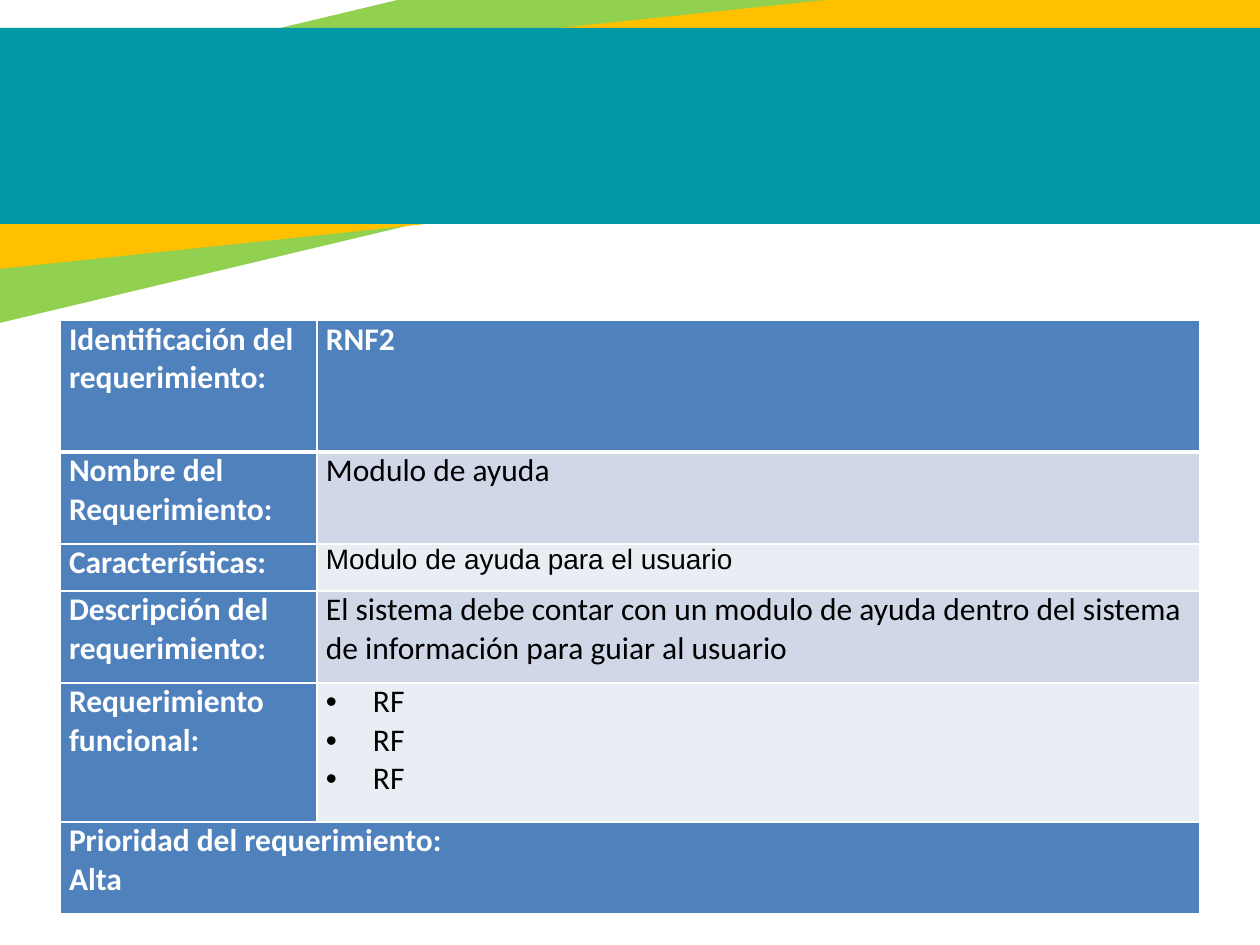
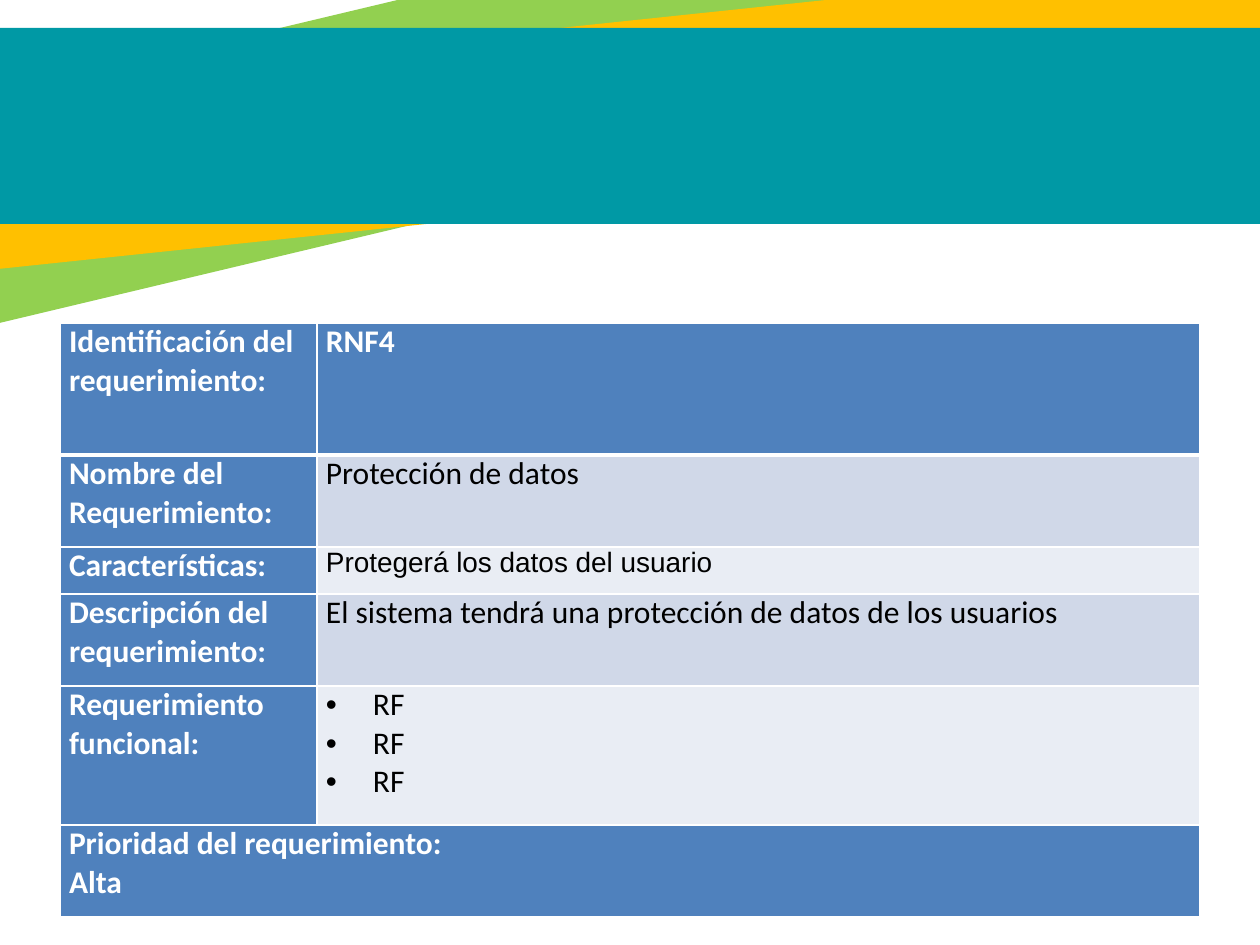
"""Build the two requirement sheets of non-functional requirements."""
from dataclasses import dataclass
from typing import NamedTuple

from lxml.etree import SubElement
from pptx import Presentation
from pptx.dml.color import RGBColor
from pptx.enum.shapes import MSO_SHAPE as Preset
from pptx.enum.text import MSO_ANCHOR as Anchor, PP_ALIGN as Align
from pptx.oxml.ns import qn
from pptx.util import Emu, Pt

EMU_PER_PX = 914400 / 126
GREEN = RGBColor(0x92, 0xD0, 0x50)
AMBER = RGBColor(0xFF, 0xC0, 0x00)
TEAL = RGBColor(0x00, 0x99, 0xA5)
BLUE = RGBColor(0x4F, 0x81, 0xBD)
DARK_ROW = RGBColor(0xD0, 0xD8, 0xE8)
LIGHT_ROW = RGBColor(0xE9, 0xED, 0xF4)
WHITE = RGBColor(0xFF, 0xFF, 0xFF)
BLACK = RGBColor(0x00, 0x00, 0x00)

LABEL = {"name": "Calibri", "size": Pt(18), "bold": True}
VALUE = {**LABEL, "bold": False}
FEATURE = {"name": "Arial", "size": Pt(16), "bold": False}
RULE_PT, HEADER_RULE_PT = 1, 3
COLUMN_WIDTHS = (257, 883)
ROW_HEIGHTS = (132, 92, 47, 92, 139, 92)
BULLET_INDENT = 47
LABELS = (
    "Identificación del requerimiento:",
    "Nombre del Requerimiento:",
    "Características:",
    "Descripción del requerimiento:",
    "Requerimiento funcional:",
)


class Band(NamedTuple):
    left: int
    top: int
    width: int
    height: int
    angle: float
    color: RGBColor


class CellStyle(NamedTuple):
    font: dict
    ink: RGBColor
    fill: RGBColor
    align: Align = Align.LEFT
    bulleted: bool = False


@dataclass
class Requirement:
    code: str
    title: str
    feature: str
    description: str
    functional: tuple[str, ...]
    priority: str
    top: int


BANDS = (
    Band(-316, -23, 1646, 222, 346.6, GREEN),
    Band(-139, 25, 1465, 181, 354, AMBER),
    Band(-134, 28, 1465, 196, 0, TEAL),
)
HEADING = CellStyle(LABEL, WHITE, BLUE)
VALUE_STYLES = (
    HEADING,
    CellStyle(VALUE, BLACK, DARK_ROW),
    CellStyle(FEATURE, BLACK, LIGHT_ROW, Align.JUSTIFY),
    CellStyle(VALUE, BLACK, DARK_ROW),
    CellStyle(VALUE, BLACK, LIGHT_ROW, bulleted=True),
)
REQUIREMENTS = (
    Requirement(
        "RNF2", "Modulo de ayuda", "Modulo de ayuda para el usuario",
        "El sistema debe contar con un modulo de ayuda dentro del sistema "
        "de información para guiar al usuario",
        ("RF",) * 3, "Alta", 320,
    ),
    Requirement(
        "RNF4", "Protección de datos", "Protegerá los datos del usuario",
        "El sistema tendrá una protección de datos de los usuarios",
        ("RF",) * 3, "Alta", 323,
    ),
)


def px(length: int) -> Emu:
    """Turn pixels into EMU."""
    return Emu(round(length * EMU_PER_PX))


def apply_format(target, values: dict) -> None:
    """Set every attribute named in a format."""
    for attribute, value in values.items():
        setattr(target, attribute, value)


def draw_band(slide, band: Band) -> None:
    """Draw one coloured band behind the heading area."""
    stripe = slide.shapes.add_shape(Preset.RECTANGLE, *map(px, band[:4]))
    stripe.rotation = band.angle
    stripe.shadow.inherit = False
    stripe.fill.solid()
    stripe.fill.fore_color.rgb = band.color
    stripe.line.fill.background()


def rule_cell(cell, top_pt: int, bottom_pt: int) -> None:
    """Rule the four sides of a cell in white."""
    properties = cell._tc.get_or_add_tcPr()
    sides = {"lnL": RULE_PT, "lnR": RULE_PT, "lnT": top_pt, "lnB": bottom_pt}
    for side, width in sides.items():
        rule = SubElement(properties, qn(f"a:{side}"), w=str(Pt(width)))
        paint = SubElement(rule, qn("a:solidFill"))
        SubElement(paint, qn("a:srgbClr"), val=str(WHITE))


def add_bullet(paragraph) -> None:
    """Give a paragraph a hanging round bullet."""
    properties = paragraph._p.get_or_add_pPr()
    properties.set("marL", str(px(BULLET_INDENT)))
    properties.set("indent", str(-px(BULLET_INDENT)))
    SubElement(properties, qn("a:buFont"), typeface="Arial")
    SubElement(properties, qn("a:buChar"), char="•")


def fill_cell(cell, lines: tuple[str, ...], style: CellStyle) -> None:
    """Write the lines of a cell and colour it."""
    cell.fill.solid()
    cell.fill.fore_color.rgb = style.fill
    apply_format(cell, {
        "margin_left": px(9), "margin_right": px(9),
        "margin_top": 0, "margin_bottom": 0, "vertical_anchor": Anchor.TOP,
    })
    for index, line in enumerate(lines):
        frame = cell.text_frame
        paragraph = frame.add_paragraph() if index else frame.paragraphs[0]
        paragraph.alignment = style.align
        if style.bulleted:
            add_bullet(paragraph)
        run = paragraph.add_run()
        run.text = line
        apply_format(run.font, style.font)
        run.font.color.rgb = style.ink


def draw_requirement(slide, requirement: Requirement) -> None:
    """Draw the sheet of one requirement as a table."""
    sheet = slide.shapes.add_table(
        len(ROW_HEIGHTS), len(COLUMN_WIDTHS), px(60), px(requirement.top),
        px(sum(COLUMN_WIDTHS)), px(sum(ROW_HEIGHTS)),
    ).table
    apply_format(sheet, {"first_row": False, "horz_banding": False})
    for column, width in zip(sheet.columns, COLUMN_WIDTHS):
        column.width = px(width)
    for index, (row, height) in enumerate(zip(sheet.rows, ROW_HEIGHTS)):
        row.height = px(height)
        for cell in row.cells:
            rule_cell(
                cell,
                HEADER_RULE_PT if index == 1 else RULE_PT,
                HEADER_RULE_PT if index == 0 else RULE_PT,
            )

    values = (
        (requirement.code,), (requirement.title,), (requirement.feature,),
        (requirement.description,), requirement.functional,
    )
    for index, (label, lines, style) in enumerate(zip(LABELS, values, VALUE_STYLES)):
        fill_cell(sheet.cell(index, 0), (label,), HEADING)
        fill_cell(sheet.cell(index, 1), lines, style)

    last = len(ROW_HEIGHTS) - 1
    priority = sheet.cell(last, 0)
    priority.merge(sheet.cell(last, 1))
    fill_cell(priority, ("Prioridad del requerimiento:", requirement.priority), HEADING)


def main() -> None:
    """Build and save the presentation."""
    deck = Presentation()
    apply_format(deck, {"slide_width": px(1260), "slide_height": px(945)})
    blank = deck.slide_layouts.get_by_name("Blank")
    for requirement in REQUIREMENTS:
        slide = deck.slides.add_slide(blank)
        for band in BANDS:
            draw_band(slide, band)
        draw_requirement(slide, requirement)
    deck.save("out.pptx")


if __name__ == "__main__":
    main()
